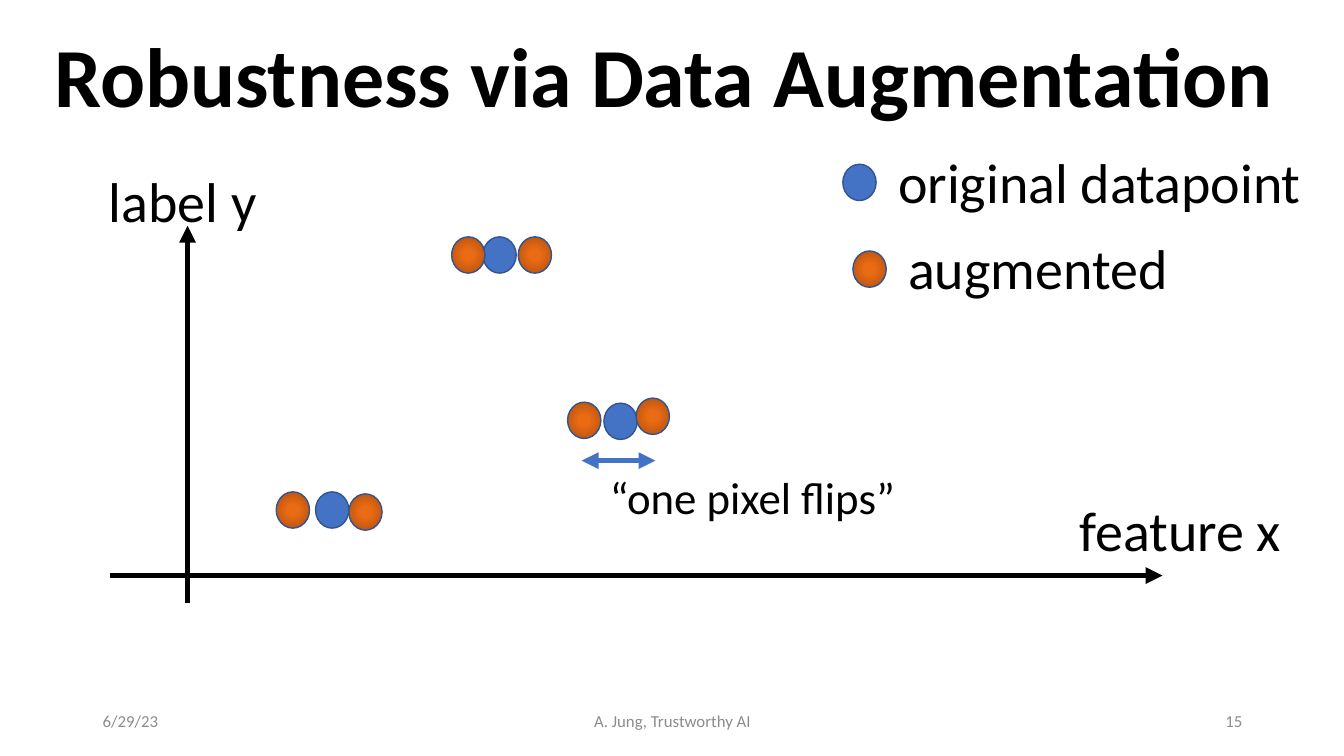
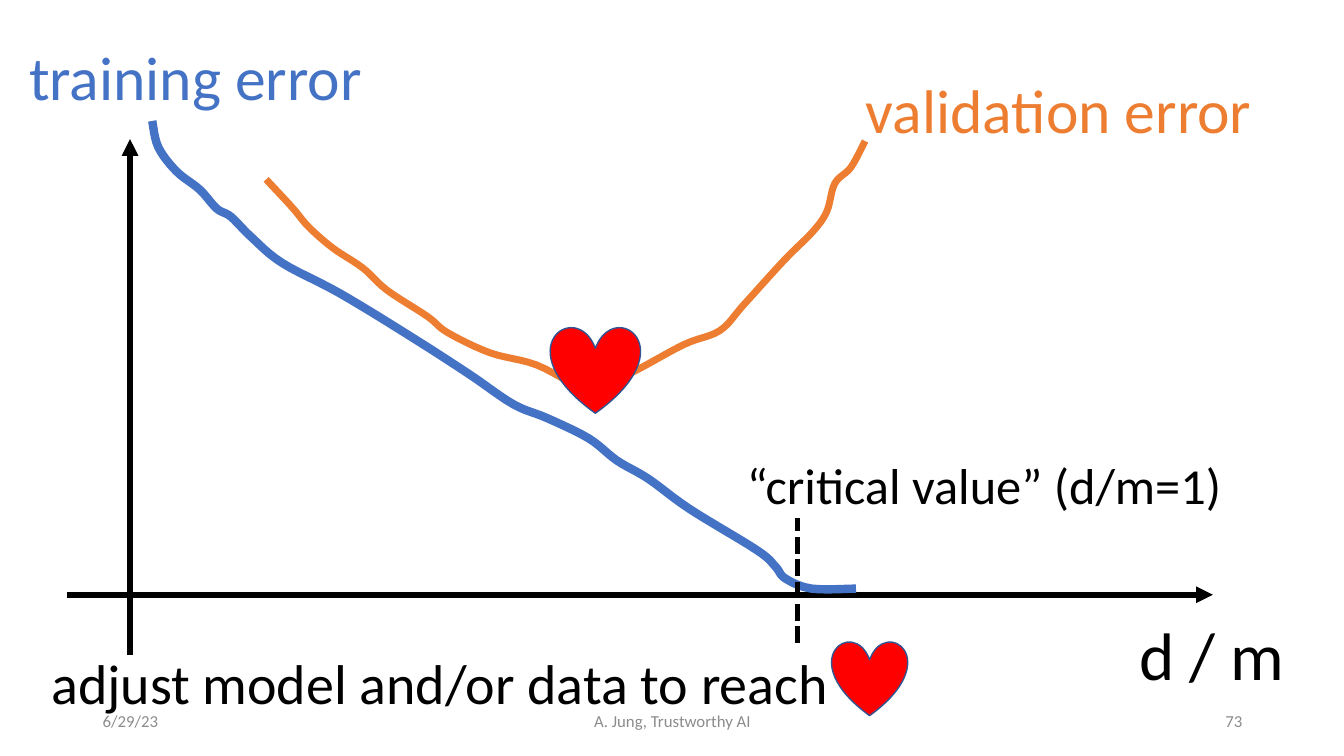
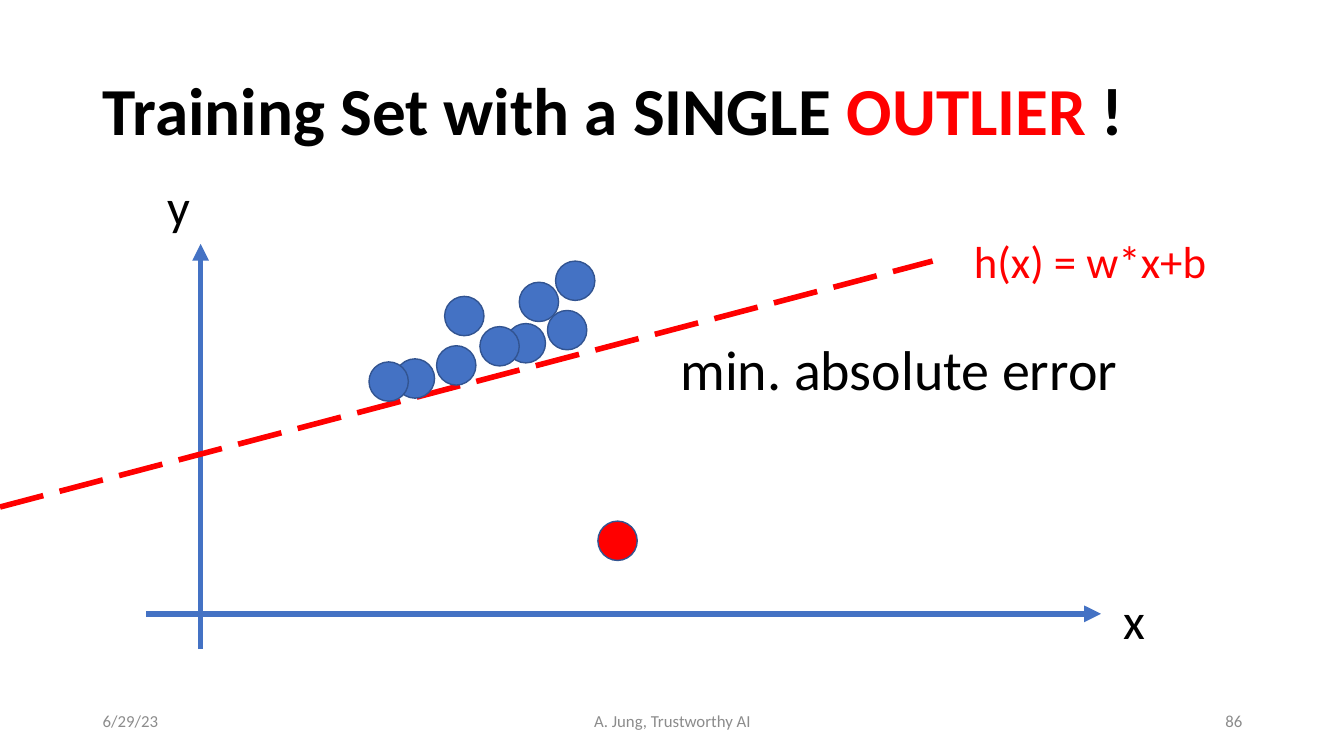
"""Build three slides on robustness, error curves and outliers."""
import lxml.etree
import pptx
import pptx.dml.color
import pptx.enum.dml
import pptx.enum.shapes
import pptx.enum.text
import pptx.oxml.ns
import pptx.util
from pptx.util import Inches

COLORS = {
    "black": "000000", "blue": "4472C4", "outline": "325491",
    "orange": "ED7D31", "red": "FF0000", "grey": "8C8C8C",
    "glow": "EA6B14", "glow_middle": "C55A11", "glow_edge": "B85410",
}
FONT = "Calibri"
ARROW_WIDTH = 4
MARKER_OUTLINE = 1
TITLE_ONLY, BLANK = 5, 6
CURVE_STEPS = 6

OVAL = pptx.enum.shapes.MSO_SHAPE.OVAL
HEART = pptx.enum.shapes.MSO_SHAPE.HEART
DASHES = pptx.enum.dml.MSO_LINE
ALIGN = pptx.enum.text.PP_ALIGN
ANCHOR = pptx.enum.text.MSO_ANCHOR
AUTO_SIZE = pptx.enum.text.MSO_AUTO_SIZE

GLOW_STOPS = ((0, "glow"), (23, "glow"), (69, "glow_middle"), (97, "glow_edge"))
FOOTER_TOP, FOOTER_HEIGHT = 6.95, 0.4
DATE, AUTHOR = "6/29/23", "A. Jung, Trustworthy AI"

POINT_SIZE = (0.33, 0.36)
LEGEND_OFFSET = (0.45, -0.22)
CLUSTERS = {
    (3.13, 4.88): ((2.74, 4.88), (3.46, 4.9)),
    (4.79, 2.35): ((4.48, 2.35), (5.14, 2.35)),
    (5.99, 4): ((5.63, 3.99), (6.31, 3.95)),
}

DOT_SIZE = (0.39, 0.39)
OUTLIER = (5.93, 5.17)
INLIERS = ((5.02, 3.21), (4.76, 3.24), (5.15, 2.8), (5.43, 3.08), (5.51, 2.59),
           (3.92, 3.56), (3.66, 3.59), (4.33, 3.43), (4.41, 2.94))

TRAINING_ERROR = (
    (1.51, 1.2), (1.57, 1.46), (1.75, 1.7), (1.98, 1.88), (2.15, 2.07),
    (2.29, 2.15), (2.49, 2.35), (2.8, 2.61), (3.37, 2.91), (4.06, 3.33),
    (4.65, 3.71), (5.09, 4.01), (5.43, 4.15), (5.84, 4.35), (6.12, 4.57),
    (6.43, 4.75), (6.84, 5.05), (7.51, 5.46), (7.69, 5.62), (7.79, 5.74),
    (8.05, 5.84), (8.49, 5.84),
)
VALIDATION_ERROR = (
    (2.64, 1.78), (2.9, 2.06), (3.06, 2.25), (3.3, 2.46), (3.6, 2.66),
    (3.84, 2.88), (4.24, 3.14), (4.44, 3.3), (4.86, 3.5), (5.32, 3.62),
    (5.84, 3.86), (6.22, 3.72), (6.78, 3.42), (7.14, 3.28), (7.38, 3.02),
    (7.78, 2.58), (8.06, 2.3), (8.2, 2.1), (8.28, 1.82), (8.44, 1.66),
    (8.58, 1.4),
)


def rgb(name):
    return pptx.dml.color.RGBColor.from_string(COLORS[name])


def style_font(font, size, color, bold=False):
    font.name = FONT
    font.size = pptx.util.Pt(size)
    font.bold = bold
    font.color.rgb = rgb(color)


def style_line(line, color, width):
    line.color.rgb = rgb(color)
    line.width = pptx.util.Pt(width)


def add_xml(parent, tag, **attributes):
    return lxml.etree.SubElement(parent, pptx.oxml.ns.qn(f"a:{tag}"), attributes)


def add_title(page, box, size, spans):
    title = page.shapes.title
    title.left, title.top, title.width, title.height = map(Inches, box)
    frame = title.text_frame
    frame.auto_size = AUTO_SIZE.NONE
    frame.vertical_anchor = ANCHOR.MIDDLE
    para = frame.paragraphs[0]
    para.alignment = ALIGN.LEFT
    para.line_spacing = 0.9
    style_font(para.font, size, "black", bold=True)
    for text, color in spans:
        span = para.add_run()
        span.text = text
        span.font.color.rgb = rgb(color)


def add_text(page, box, text, size, color, align=ALIGN.LEFT):
    frame = page.shapes.add_textbox(*map(Inches, box)).text_frame
    para = frame.paragraphs[0]
    para.text = text
    para.alignment = align
    style_font(para.font, size, color)
    return frame


def add_label(page, place, width, text, size=40, color="black"):
    line_height = 1.2 * size / 72
    frame = add_text(page, (*place, width, line_height + 0.1), text, size, color)
    frame.word_wrap = False
    frame.auto_size = AUTO_SIZE.SHAPE_TO_FIT_TEXT


def add_footer(page, number):
    for left, width, text, align in (
        (0.92, 3, DATE, ALIGN.LEFT),
        (4.42, 4.5, AUTHOR, ALIGN.CENTER),
        (9.42, 3, str(number), ALIGN.RIGHT),
    ):
        box = (left, FOOTER_TOP, width, FOOTER_HEIGHT)
        frame = add_text(page, box, text, 12, "grey", align)
        frame.word_wrap = True
        frame.vertical_anchor = ANCHOR.MIDDLE


def add_line(page, start, end, color, dash=None, arrows=()):
    connector = page.shapes.add_connector(
        pptx.enum.shapes.MSO_CONNECTOR.STRAIGHT, *map(Inches, start + end))
    style_line(connector.line, color, ARROW_WIDTH)
    if dash is not None:
        connector.line.dash_style = dash
    properties = connector._element.spPr
    outline = properties.find(pptx.oxml.ns.qn("a:ln"))
    for arrow in arrows:
        add_xml(outline, arrow, type="triangle")
    add_xml(properties, "effectLst")


def add_axes(page, origin, left, right, bottom, top, color):
    x, y = origin
    add_line(page, (left, y), (right, y), color, arrows=("tailEnd",))
    add_line(page, (x, bottom), (x, top), color, arrows=("tailEnd",))


def add_marker(page, kind, place, size, color):
    marker = page.shapes.add_shape(kind, *map(Inches, place + size))
    marker.shadow.inherit = False
    marker.fill.solid()
    marker.fill.fore_color.rgb = rgb(color)
    style_line(marker.line, "outline", MARKER_OUTLINE)
    return marker


def add_original(page, place):
    add_marker(page, OVAL, place, POINT_SIZE, "blue")


def add_augmented(page, place):
    marker = add_marker(page, OVAL, place, POINT_SIZE, "glow")
    marker.fill.gradient()
    gradient = marker._element.spPr.find(pptx.oxml.ns.qn("a:gradFill"))
    for child in list(gradient):
        gradient.remove(child)
    stops = add_xml(gradient, "gsLst")
    for percent, color in GLOW_STOPS:
        stop = add_xml(stops, "gs", pos=str(percent * 1000))
        add_xml(stop, "srgbClr", val=COLORS[color])
    circle = add_xml(gradient, "path", path="circle")
    add_xml(circle, "fillToRect", **dict.fromkeys("ltrb", "50000"))


def add_legend_entry(page, add_point, place, width, text):
    add_point(page, place)
    label_place = [edge + offset for edge, offset in zip(place, LEGEND_OFFSET)]
    add_label(page, label_place, width, text)


def spline(before, start, end, after, t):
    """Return the Catmull-Rom value at t between start and end."""
    return 0.5 * (2 * start + (end - before) * t
                  + (2 * before - 5 * start + 4 * end - after) * t ** 2
                  + (3 * start - before - 3 * end + after) * t ** 3)


def smooth(knots):
    """Return a dense list of points on a smooth curve through the knots."""
    padded = (knots[0], *knots, knots[-1])
    points = [knots[0]]
    for window in zip(padded, padded[1:], padded[2:], padded[3:]):
        for step in range(1, CURVE_STEPS + 1):
            points.append([spline(*axis, step / CURVE_STEPS) for axis in zip(*window)])
    return points


def add_curve(page, knots, color, width):
    start, *rest = [(Inches(x), Inches(y)) for x, y in smooth(knots)]
    builder = page.shapes.build_freeform(*start)
    builder.add_line_segments(rest, close=False)
    curve = builder.convert_to_shape()
    curve.shadow.inherit = False
    curve.fill.background()
    style_line(curve.line, color, width)


def build_augmentation(page):
    add_title(page, (0.44, 0.16, 12.39, 1.28), 60,
              [("Robustness via Data Augmentation", "black")])
    add_axes(page, (1.86, 5.71), left=1.09, right=11.53, bottom=5.98, top=2.24,
             color="black")
    add_label(page, (10.61, 4.87), 2.22, "feature x")
    add_label(page, (0.98, 1.6), 1.68, "label y")
    for original, neighbours in CLUSTERS.items():
        add_original(page, original)
        for neighbour in neighbours:
            add_augmented(page, neighbour)
    add_legend_entry(page, add_original, (8.36, 1.63), 4.23, "original datapoint")
    add_legend_entry(page, add_augmented, (8.46, 2.49), 2.8, "augmented")
    add_line(page, (5.77, 4.57), (6.5, 4.57), "blue", arrows=("headEnd", "tailEnd"))
    add_label(page, (5.95, 4.61), 3.06, "“one pixel flips”", 32)


def build_error_curves(page):
    add_axes(page, (1.29, 5.9), left=0.66, right=12.03, bottom=6.5, top=1.38,
             color="black")
    add_label(page, (11.2, 6.04), 1.66, "d / m", 48)
    add_curve(page, TRAINING_ERROR, "blue", 6)
    add_label(page, (0.19, 0.34), 3.54, "training error", 44, "blue")
    add_curve(page, VALIDATION_ERROR, "orange", 5)
    add_label(page, (8.49, 0.66), 4.08, "validation error", 44, "orange")
    add_label(page, (0.41, 6.38), 8.11, "adjust model and/or data to reach")
    add_marker(page, HEART, (5.46, 3.24), (0.89, 0.86), "red")
    add_marker(page, HEART, (8.25, 6.36), (0.75, 0.74), "red")
    add_line(page, (7.91, 6.38), (7.91, 5.14), "black", DASHES.SQUARE_DOT)
    add_label(page, (7.31, 4.46), 5.07, "“critical value” (d/m=1)", 36)


def build_outlier(page):
    add_title(page, (0.92, 0.4, 11.5, 1.45), 48,
              [("Training Set with a SINGLE ", "black"), ("OUTLIER", "red"), (" !", "black")])
    add_axes(page, (1.99, 6.09), left=1.45, right=10.92, bottom=6.44, top=2.42,
             color="blue")
    add_label(page, (11.04, 5.8), 0.42, "x", 36)
    add_label(page, (1.56, 1.69), 0.43, "y", 36)
    add_line(page, (0, 5.03), (9.25, 2.59), "red", DASHES.LONG_DASH)
    add_label(page, (9.56, 2.27), 2.54, "h(x) = w*x+b", 32, "red")
    add_marker(page, OVAL, OUTLIER, DOT_SIZE, "red")
    for place in INLIERS:
        add_marker(page, OVAL, place, DOT_SIZE, "blue")
    add_label(page, (6.65, 3.27), 4.71, "min. absolute error")


def main():
    deck = pptx.Presentation()
    deck.slide_width, deck.slide_height = Inches(13.33), Inches(7.5)
    for layout, number, build in (
        (TITLE_ONLY, 15, build_augmentation),
        (BLANK, 73, build_error_curves),
        (TITLE_ONLY, 86, build_outlier),
    ):
        page = deck.slides.add_slide(deck.slide_layouts[layout])
        build(page)
        add_footer(page, number)
    deck.save("out.pptx")


if __name__ == "__main__":
    main()
